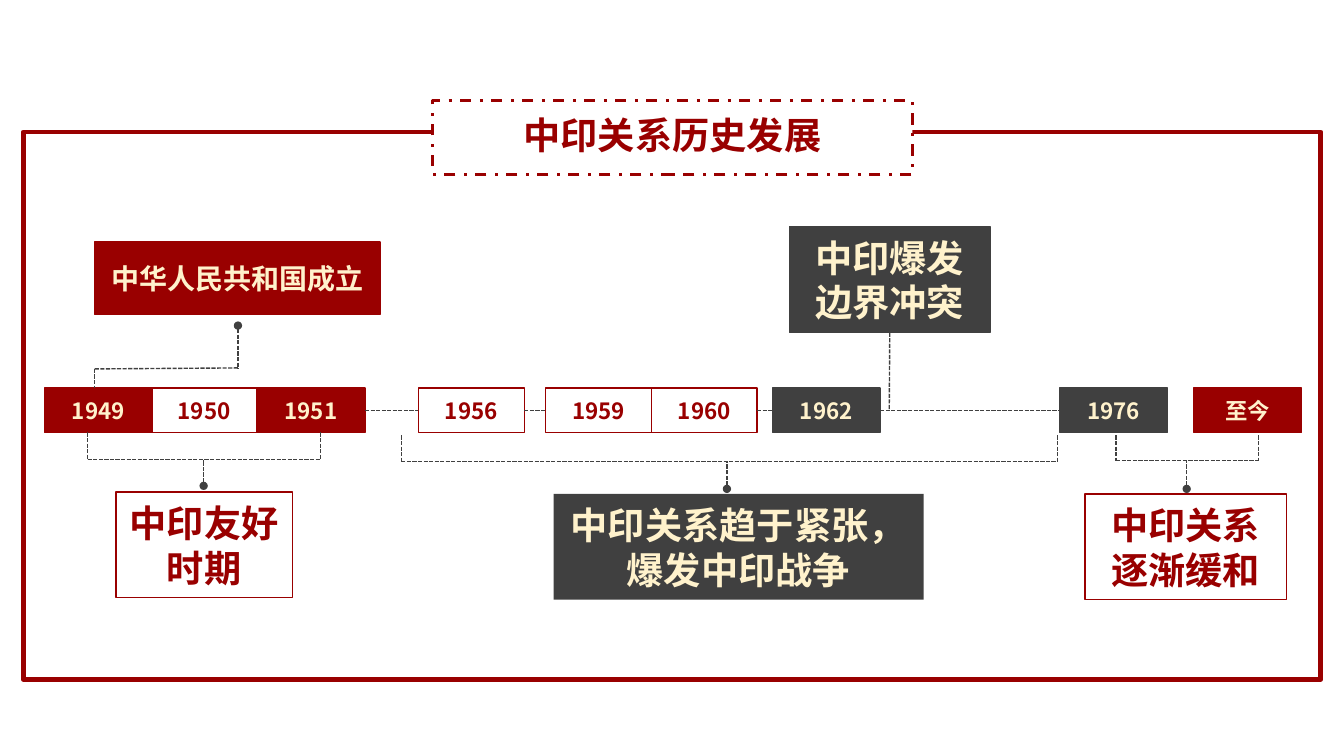
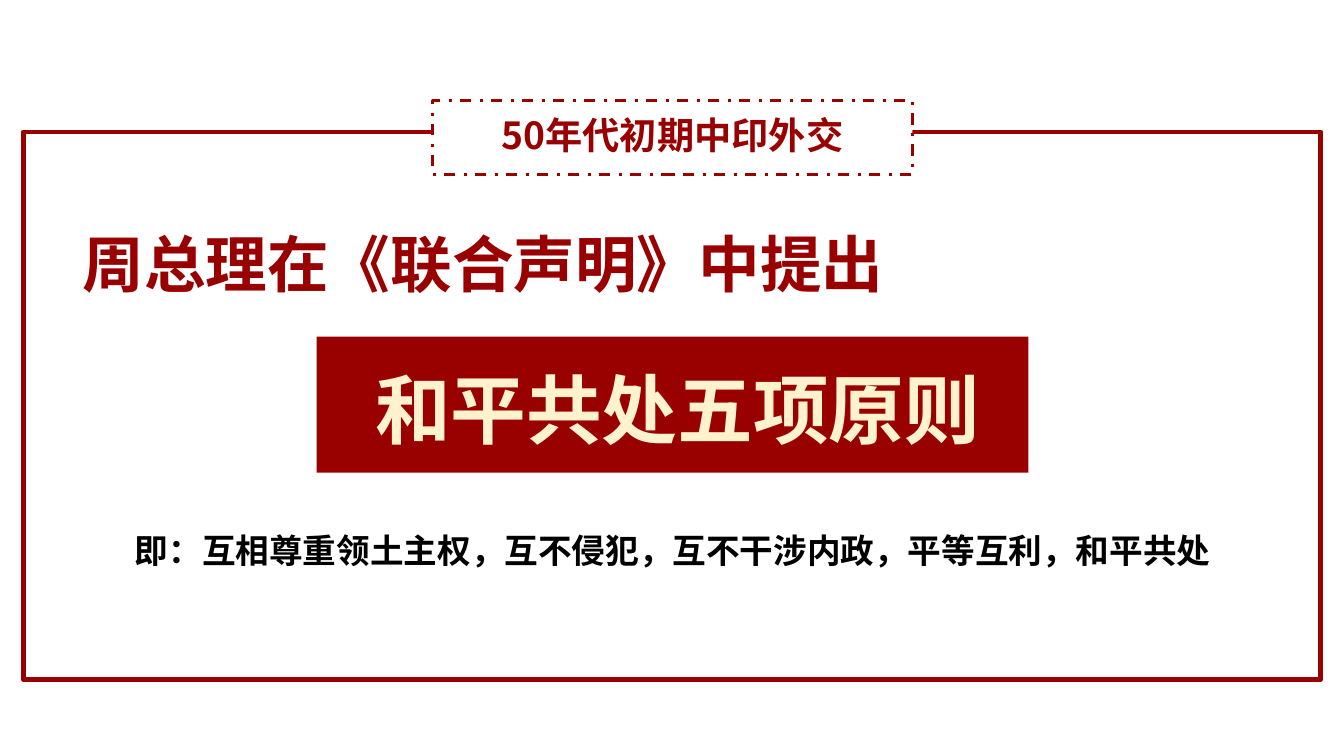
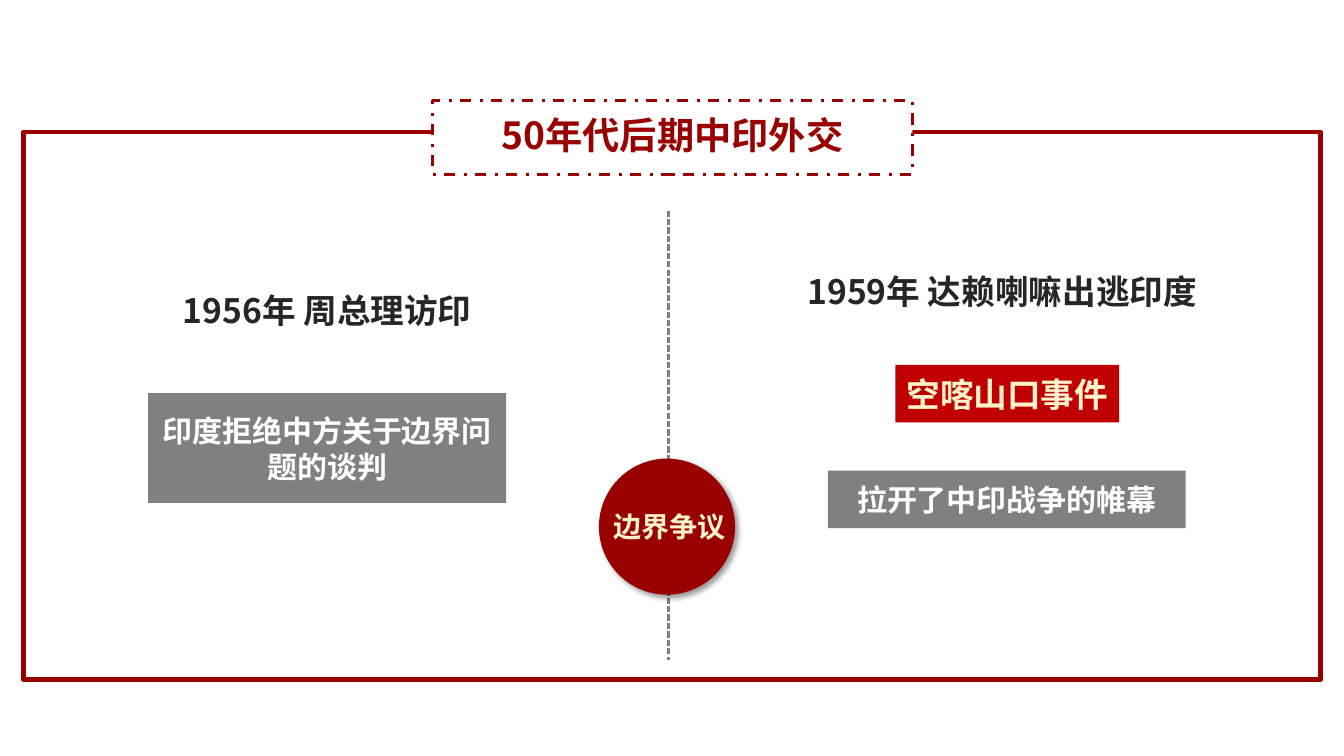
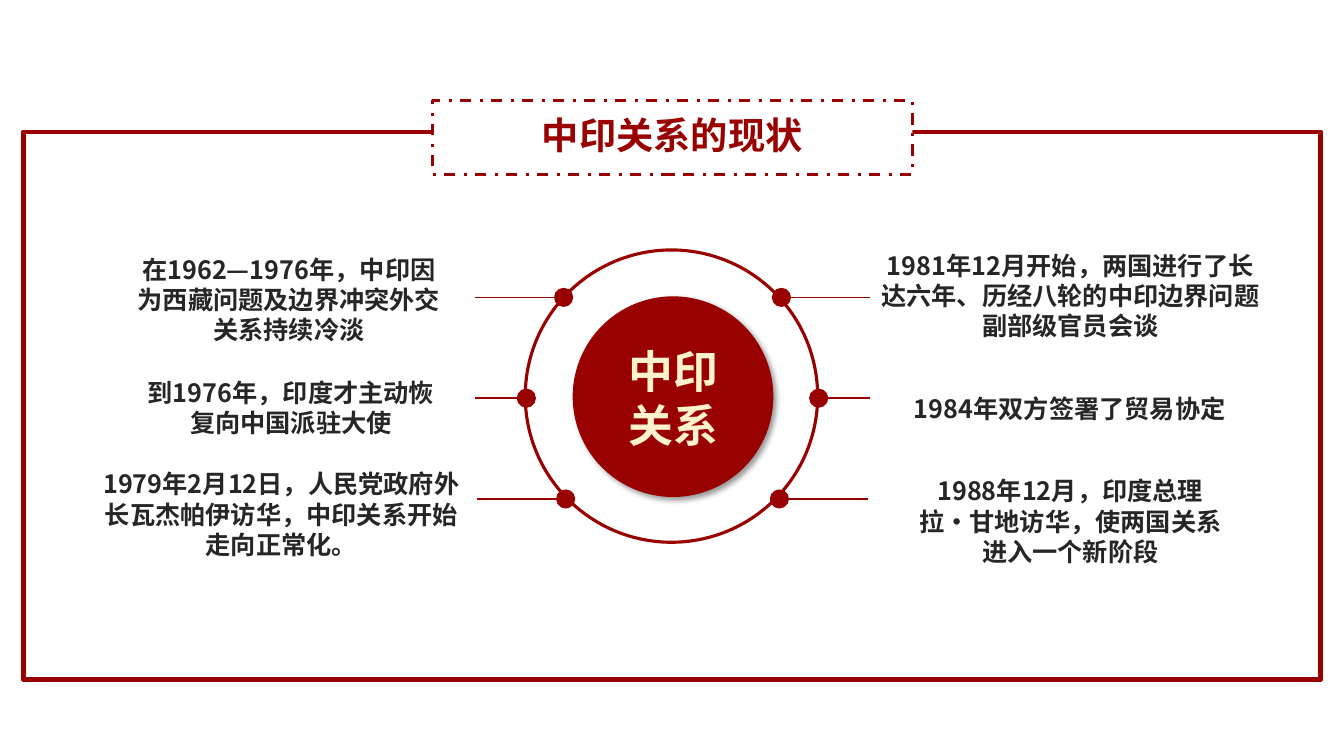
from lxml import etree
from pptx import Presentation
from pptx import util as u
from pptx.dml import color
from pptx.enum import dml, shapes, text
from pptx.oxml import ns

RED = color.RGBColor(0x99, 0x00, 0x00)
BRIGHT_RED = color.RGBColor(0xC0, 0x00, 0x00)
CREAM = color.RGBColor(0xFF, 0xF2, 0xCC)
CHARCOAL = color.RGBColor(0x40, 0x40, 0x40)
INK = color.RGBColor(0x26, 0x26, 0x26)
GRAY = color.RGBColor(0x80, 0x80, 0x80)
WHITE = color.RGBColor(0xFF, 0xFF, 0xFF)
BLACK = color.RGBColor(0x00, 0x00, 0x00)

FONT = "Noto Sans CJK SC"
RECT = shapes.MSO_SHAPE.RECTANGLE
OVAL = shapes.MSO_SHAPE.OVAL
SYS_DASH = dml.MSO_LINE.SQUARE_DOT
CENTER = text.PP_ALIGN.CENTER
LEFT = text.PP_ALIGN.LEFT
SIDE_LEFT, BOTTOM, SIDE_RIGHT = 1, 2, 3


def add_xml(parent, tag, **attributes):
    return etree.SubElement(parent, ns.qn(tag), **attributes)


class Builder:
    """Holds the deck style and the slide being filled."""

    def __init__(self):
        self.deck = Presentation()
        self.deck.slide_width = u.Inches(13.33)
        self.deck.slide_height = u.Inches(7.5)
        self.page = None

    def new_page(self, title):
        self.page = self.deck.slides.add_slide(self.deck.slide_layouts[6])
        self.shape((0.23, 1.31, 12.87, 5.43), line=RED, width=3.5)
        self.shape((4.29, 1, 4.76, 0.73), WHITE, RED, 2, title, 26.6, RED,
                   dash=dml.MSO_LINE.DASH_DOT, spacing=0.9)

    def set_text(self, frame, words, size, ink, align=CENTER, font=FONT, spacing=None):
        frame.text = words
        for para in frame.paragraphs:
            para.alignment = align
            if spacing:
                para.line_spacing = spacing
            para.font.name = font
            para.font.size = u.Pt(size)
            para.font.bold = True
            para.font.color.rgb = ink
            add_xml(para.font._element, "a:ea", typeface=FONT)

    def shape(self, place, fill=None, line=None, width=1, words="", size=16,
              ink=CREAM, kind=RECT, dash=None, spacing=None, shadow=False):
        box = self.page.shapes.add_shape(kind, *map(u.Inches, place))
        box.shadow.inherit = False
        if fill is None:
            box.fill.background()
        else:
            box.fill.solid()
            box.fill.fore_color.rgb = fill
        if line is None:
            box.line.fill.background()
        else:
            box.line.color.rgb = line
            box.line.width = u.Pt(width)
            if dash:
                box.line.dash_style = dash
        if shadow:
            effects = box._element.spPr.find(ns.qn("a:effectLst"))
            outer = add_xml(effects, "a:outerShdw", blurRad=str(u.Pt(4)),
                            dist=str(u.Pt(3)), dir="2700000", algn="tl", rotWithShape="0")
            tint = add_xml(outer, "a:srgbClr", val="000000")
            add_xml(tint, "a:alpha", val="40000")
        if words:
            box.text_frame.word_wrap = True
            box.text_frame.vertical_anchor = text.MSO_ANCHOR.MIDDLE
            self.set_text(box.text_frame, words, size, ink, spacing=spacing)
        return box

    def label(self, place, words, size, ink=INK, align=CENTER, wrap=True, font=FONT):
        box = self.page.shapes.add_textbox(*map(u.Inches, place))
        box.text_frame.word_wrap = wrap
        box.text_frame.auto_size = text.MSO_AUTO_SIZE.SHAPE_TO_FIT_TEXT
        self.set_text(box.text_frame, words, size, ink, align, font)

    def line(self, start, end, ink=CHARCOAL, width=1, dash=SYS_DASH, dot=False):
        link = self.page.shapes.add_connector(
            shapes.MSO_CONNECTOR.STRAIGHT, *map(u.Inches, (*start, *end)))
        link.line.color.rgb = ink
        link.line.width = u.Pt(width)
        if dash:
            link.line.dash_style = dash
        if dot:
            add_xml(link.line._ln, "a:headEnd", type="oval")
        add_xml(link._element.spPr, "a:effectLst")
        return link

    def join(self, left_box, right_box):
        link = self.line((0, 0), (1, 1))
        link.begin_connect(left_box, SIDE_RIGHT)
        link.end_connect(right_box, SIDE_LEFT)

    def bracket(self, left, right, top, bar, stem, foot):
        self.line((left, bar), (right, bar))
        for side in (left, right):
            self.line((side, top), (side, bar))
        self.line((stem, foot), (stem, bar), dot=True)


def timeline_page(b):
    b.new_page("中印关系历史发展")

    # Events
    conflict = b.shape((7.83, 2.25, 1.99, 1.05), CHARCOAL, CHARCOAL, words="中印爆发边界冲突", size=26.6)
    b.shape((0.94, 2.4, 2.83, 0.72), RED, RED, words="中华人民共和国成立", size=20)

    # Periods
    b.shape((1.15, 4.88, 1.75, 1.05), None, RED, words="中印友好时期", size=26.6, ink=RED)
    b.shape((5.49, 4.9, 3.67, 1.05), CHARCOAL, words="中印关系趋于紧张，爆发中印战争", size=26.6)
    b.shape((10.76, 4.9, 2, 1.05), None, RED, words="中印关系逐渐缓和", size=26.6, ink=RED)

    # Years
    years = {}
    for year, left, fill in (
            ("1950", 1.5, None), ("1951", 2.55, RED), ("1956", 4.15, None),
            ("1959", 5.41, None), ("1960", 6.46, None), ("1949", 0.44, RED),
            ("1962", 7.66, CHARCOAL), ("1976", 10.51, CHARCOAL), ("至今", 11.84, RED)):
        years[year] = b.shape((left, 3.85, 1.07 if fill else 1.05, 0.44), fill,
                              fill or RED, words=year, ink=CREAM if fill else RED)
    for before, after in (("1951", "1956"), ("1956", "1959"), ("1960", "1962"), ("1962", "1976")):
        b.join(years[before], years[after])

    # Links from events to years
    b.line((8.82, 3.3), (8.82, 4.07)).begin_connect(conflict, BOTTOM)
    b.line((2.36, 3.23), (2.36, 3.66), dot=True)
    b.line((0.94, 3.66), (2.36, 3.65))
    b.line((0.94, 3.66), (0.94, 3.85))

    # Brackets from years to periods
    b.bracket(0.87, 3.18, 4.29, 4.56, 2.02, 4.82)
    b.bracket(3.98, 10.49, 4.32, 4.58, 7.21, 4.85)
    b.bracket(11.07, 12.48, 4.32, 4.57, 11.77, 4.85)


def principles_page(b):
    b.new_page("50年代初期中印外交")
    b.label((0.72, 2.19, 9.26, 0.84), "周总理在《联合声明》中提出", 44, RED, LEFT)
    b.shape((3.14, 3.34, 7.06, 1.35), RED)
    b.label((3.35, 3.55, 6.74, 0.84), "和平共处五项原则", 54, CREAM)
    b.label((1.24, 5.21, 10.97, 0.5),
            "即：互相尊重领土主权，互不侵犯，互不干涉内政，平等互利，和平共处",
            24, BLACK, LEFT, wrap=False, font="Calibri")


def dispute_page(b):
    b.new_page("50年代后期中印外交")

    # Divider and its badge
    b.line((6.63, 2.09), (6.63, 6.55), GRAY, 1.5)
    b.shape((5.94, 4.55, 1.35, 1.35), RED, kind=OVAL, shadow=True)
    b.label((5.98, 5.01, 1.32, 0.44), "边界争议", 20, CREAM, wrap=False)

    # Left side
    b.label((1.15, 2.83, 4.19, 0.5), "1956年 周总理访印", 24)
    b.shape((1.47, 3.9, 3.55, 1.09), GRAY, words="印度拒绝中方关于边界问题的谈判", size=21.4, ink=WHITE)

    # Right side
    b.label((7.91, 2.64, 4.16, 0.5), "1959年 达赖喇嘛出逃印度", 24, align=LEFT, wrap=False)
    b.shape((8.88, 3.62, 2.22, 0.57), BRIGHT_RED, words="空喀山口事件", size=24)
    b.shape((8.21, 4.67, 3.55, 0.57), GRAY, words="拉开了中印战争的帷幕", size=21.4, ink=WHITE)


def present_page(b):
    b.new_page("中印关系的现状")

    # Statements
    for place, words in (
            ((1.26, 2.47, 3.21, 1.01), "在1962—1976年，中印因为西藏问题及边界冲突外交关系持续冷淡"),
            ((1.28, 3.69, 3.21, 0.71), "到1976年，印度才主动恢复向中国派驻大使"),
            ((0.92, 4.6, 3.74, 1.01), "1979年2月12日，人民党政府外长瓦杰帕伊访华，中印关系开始走向正常化。"),
            ((8.63, 2.43, 3.97, 1.01), "1981年12月开始，两国进行了长达六年、历经八轮的中印边界问题副部级官员会谈"),
            ((8.54, 3.85, 4.14, 0.4), "1984年双方签署了贸易协定"),
            ((9.01, 4.67, 3.21, 1.01), "1988年12月，印度总理拉·甘地访华，使两国关系进入一个新阶段")):
        b.label(place, words, 18)

    # Hub and ring
    b.shape((5.68, 2.94, 1.99, 1.99), RED, kind=OVAL, shadow=True)
    b.label((6.13, 3.36, 1.1, 1.18), "中印\n关系", 32, CREAM, wrap=False)
    b.shape((5.21, 2.48, 2.9, 2.9), None, RED, 2.25, kind=OVAL)

    # Dots with lines, mirrored about the ring's axis
    axis, dot = 6.67, 0.19
    for y, reach, tip in ((2.95, 1.08, 1.96), (3.95, 1.45, 1.96), (4.95, 1.06, 1.94)):
        for side in (-1, 1):
            x = axis + side * reach
            b.shape((x - dot / 2, y - dot / 2, dot, dot), RED, kind=OVAL)
            b.line((axis + side * tip, y), (x, y), RED, dash=None)


def main():
    builder = Builder()
    for fill_page in (timeline_page, principles_page, dispute_page, present_page):
        fill_page(builder)
    builder.deck.save("out.pptx")


if __name__ == "__main__":
    main()
